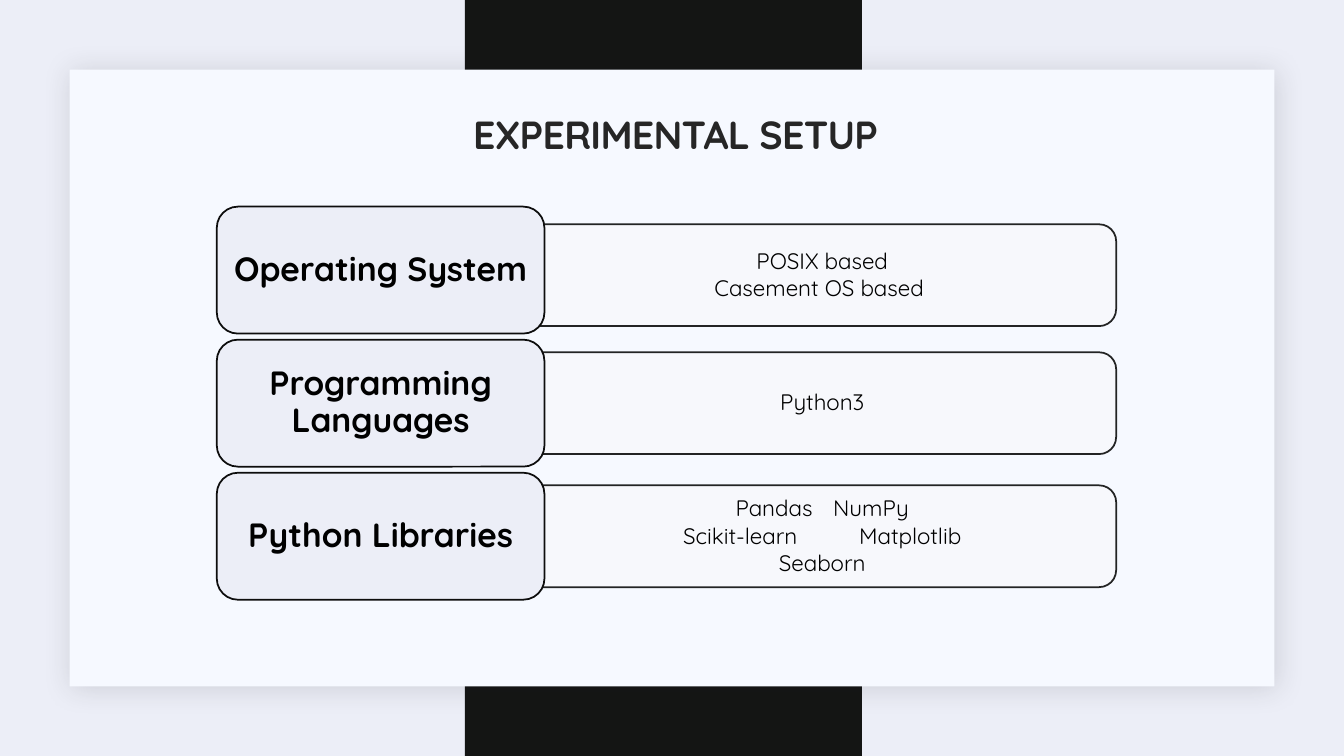
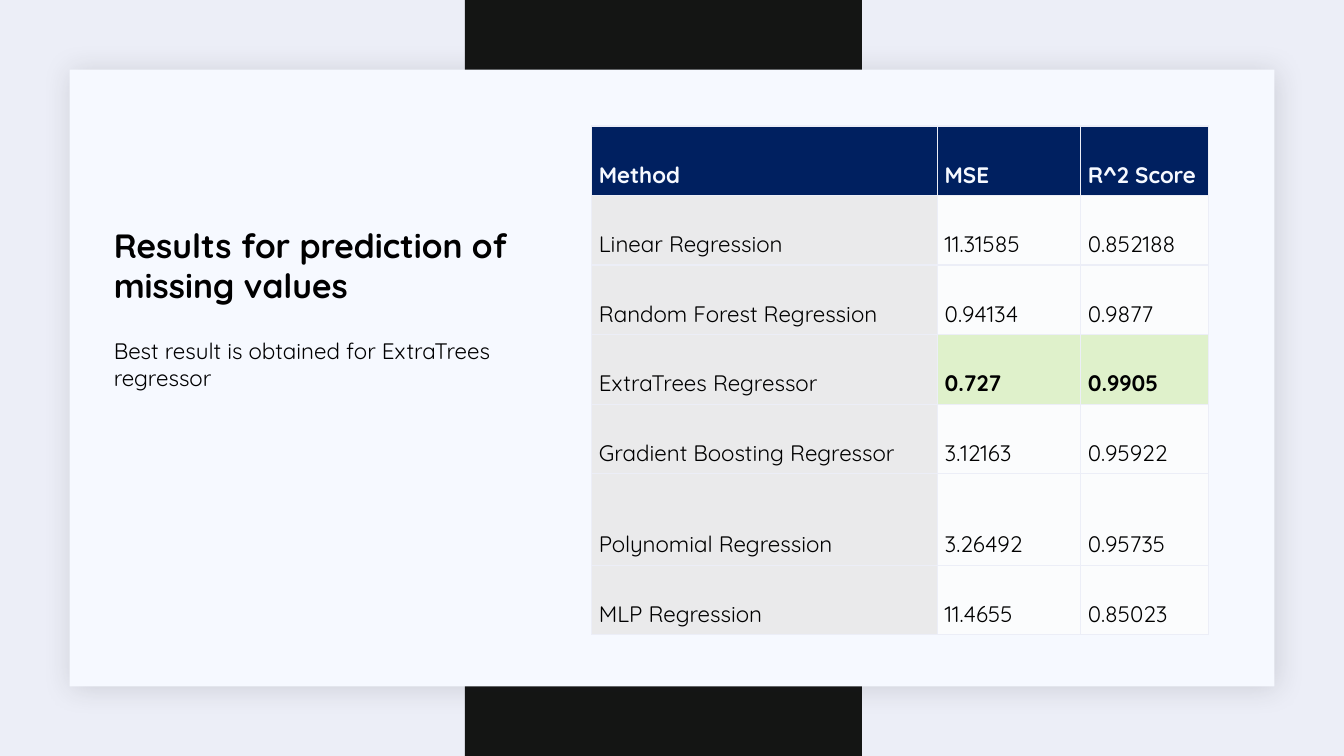
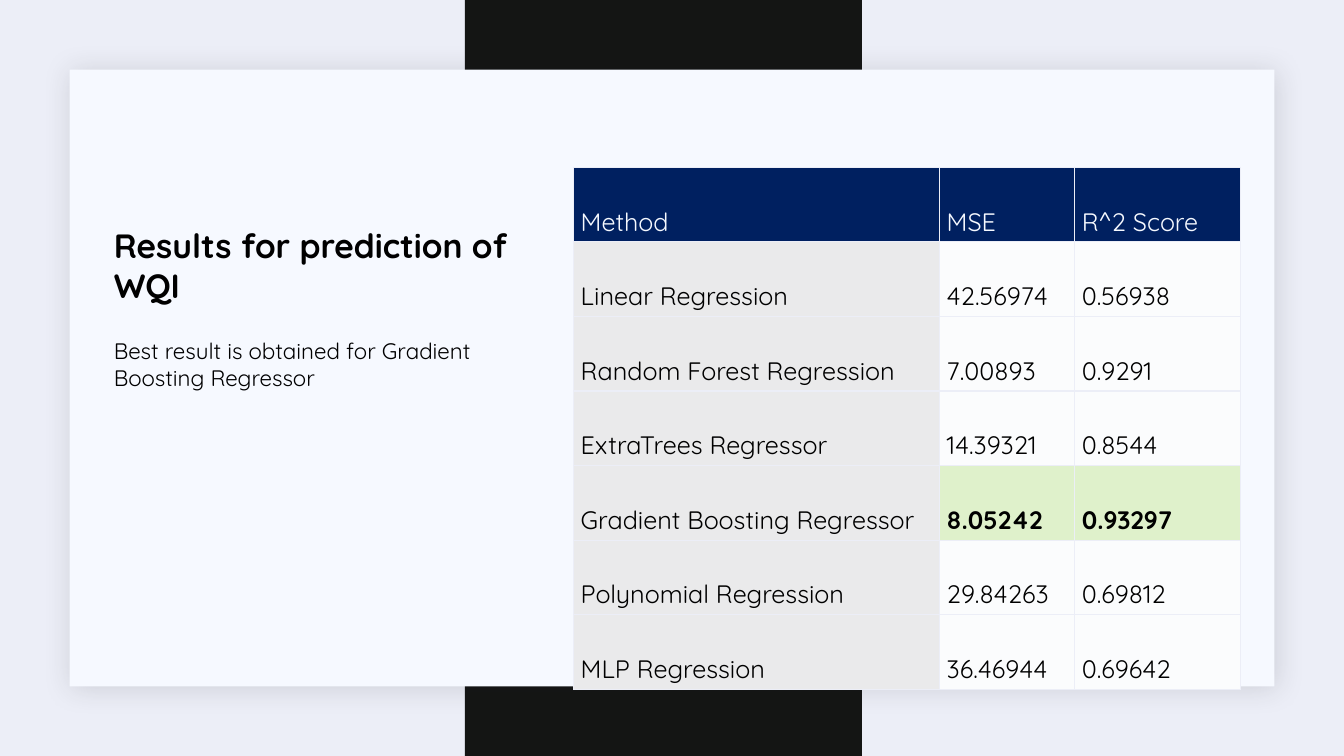
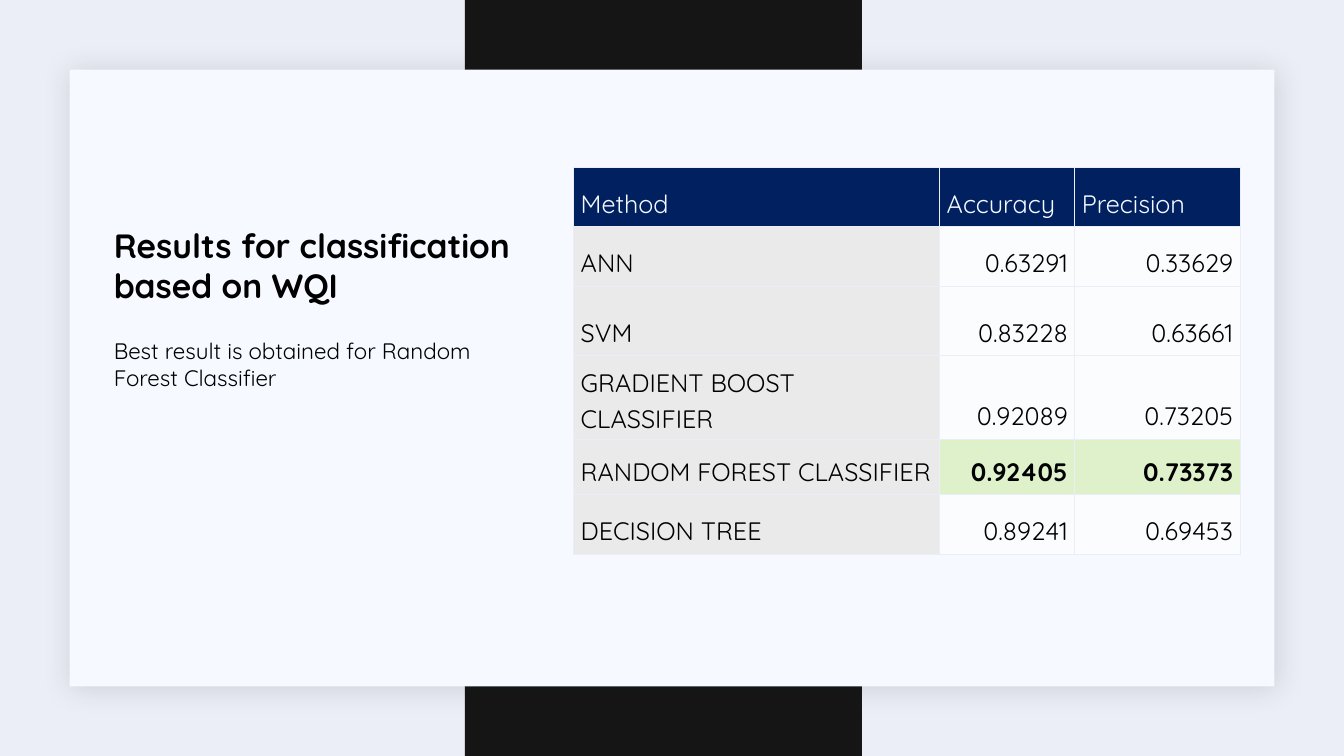
from dataclasses import dataclass

from lxml import etree
from pptx import Presentation
from pptx.dml.color import RGBColor
from pptx.enum.shapes import MSO_SHAPE
from pptx.enum.text import MSO_ANCHOR, PP_ALIGN
from pptx.oxml import parse_xml
from pptx.oxml.ns import nsdecls, qn
from pptx.util import Inches, Pt

RECTANGLE = MSO_SHAPE.RECTANGLE
ROUNDED = MSO_SHAPE.ROUNDED_RECTANGLE
ROUNDED_TOP = MSO_SHAPE.ROUND_2_SAME_RECTANGLE
LEFT, CENTER, RIGHT = PP_ALIGN.LEFT, PP_ALIGN.CENTER, PP_ALIGN.RIGHT
MIDDLE, BOTTOM = MSO_ANCHOR.MIDDLE, MSO_ANCHOR.BOTTOM


@dataclass(frozen=True)
class Theme:
    font: str = "Quicksand"
    background: str = "ECEEF7"
    band: str = "141514"
    card: str = "F6F9FF"
    shadow: str = "1F2125"
    title: str = "262626"
    text: str = "000000"
    outline: str = "0D0D0D"
    panel: str = "F8F8FC"
    header: str = "002060"
    method: str = "EAEAEB"
    value: str = "FBFCFD"
    best: str = "DFF1CB"
    title_size: int = 28
    heading_size: int = 24
    body_size: int = 16
    large_cell_size: int = 18


theme = Theme()
WIDTH, HEIGHT = 13.33, 7.5
MARGIN = 0.69


def add_box(slide, kind, left, top, width, height, fill, outline=None):
    shape = slide.shapes.add_shape(
        kind, Inches(left), Inches(top), Inches(width), Inches(height))
    shape.shadow.inherit = False
    shape.fill.solid()
    shape.fill.fore_color.rgb = RGBColor.from_string(fill)
    if outline:
        shape.line.color.rgb = RGBColor.from_string(outline)
        shape.line.width = Pt(1.25)
    else:
        shape.line.fill.background()
    return shape


def write(frame, lines, size, color=theme.text, bold=False, align=LEFT,
          spacing=1.0, after=0):
    frame.word_wrap = True
    for index, line in enumerate(lines):
        paragraph = frame.add_paragraph() if index else frame.paragraphs[0]
        paragraph.alignment = align
        paragraph.line_spacing = spacing
        paragraph.space_after = Pt(after)
        run = paragraph.add_run()
        run.text = line
        run.font.name = theme.font
        run.font.size = Pt(size)
        run.font.bold = bold
        run.font.color.rgb = RGBColor.from_string(color)


presentation = Presentation()
presentation.slide_width = Inches(WIDTH)
presentation.slide_height = Inches(HEIGHT)
blank = presentation.slide_layouts[6]
background = presentation.slide_master.background.fill
background.solid()
background.fore_color.rgb = RGBColor.from_string(theme.background)
for placeholder in list(blank.placeholders):
    placeholder.element.getparent().remove(placeholder.element)

slide = presentation.slides.add_slide(blank)
band = add_box(slide, RECTANGLE, 4.61, 0, 3.94, HEIGHT, theme.band)
card = add_box(slide, RECTANGLE, MARGIN, MARGIN,
               WIDTH - 2 * MARGIN, HEIGHT - 2 * MARGIN, theme.card)
effects = next(card.element.iter(qn("a:effectLst")))
effects.append(parse_xml(
    f'<a:outerShdw {nsdecls("a")} blurRad="{Pt(20)}" dist="{Pt(2)}" dir="2700000">'
    f'<a:srgbClr val="{theme.shadow}"><a:alpha val="15000"/></a:srgbClr></a:outerShdw>'))
for shape in (band, card):
    blank.shapes.element.append(shape.element)

title = slide.shapes.add_textbox(Inches(1.2), Inches(0.83), Inches(11), Inches(0.79))
title.text_frame.vertical_anchor = BOTTOM
write(title.text_frame, ["EXPERIMENTAL SETUP"], theme.title_size, theme.title,
      bold=True, align=CENTER, spacing=0.9)
for properties in title.element.iter(qn("a:rPr")):
    properties.set("spc", "-50")

LABEL_LEFT, LABEL_TOP, LABEL_WIDTH, LABEL_HEIGHT = 2.15, 2.05, 3.25, 1.26
ROW_STEP = 1.32
PANEL_LEFT, PANEL_WIDTH, PANEL_HEIGHT = 5.29, 5.78, 1.01
setup_rows = [
    ("Operating System", ["POSIX based", "Casement OS based "], 0.05),
    ("Programming Languages", ["Python3"], 0),
    ("Python Libraries",
     ["Pandas\tNumPy", "Scikit-learn\tMatplotlib", "Seaborn"], 0),
]
for row, (name, items, panel_shift) in enumerate(setup_rows):
    top = LABEL_TOP + row * ROW_STEP
    panel_middle = top + LABEL_HEIGHT / 2 + panel_shift
    panel = add_box(slide, ROUNDED_TOP,
                    PANEL_LEFT + (PANEL_WIDTH - PANEL_HEIGHT) / 2,
                    panel_middle - PANEL_WIDTH / 2,
                    PANEL_HEIGHT, PANEL_WIDTH, theme.panel, theme.outline)
    panel.rotation = 90
    for color in panel.element.iter(qn("a:srgbClr")):
        etree.SubElement(color, qn("a:alpha")).set("val", "90000")

    details = slide.shapes.add_textbox(
        Inches(PANEL_LEFT), Inches(panel_middle - 0.45), Inches(5.73), Inches(0.91))
    frame = details.text_frame
    frame.vertical_anchor = MIDDLE
    frame.margin_left = frame.margin_right = Inches(0.07)
    frame.margin_top = frame.margin_bottom = Inches(0.03)
    write(frame, items, theme.body_size, align=CENTER, spacing=0.9, after=2.4)
    for properties in details.element.iter(qn("a:pPr")):
        properties.set("lvl", "1")
        properties.set("marL", str(Inches(0.19)))
        properties.set("indent", str(Inches(-0.19)))
        properties.set("defTabSz", str(Pt(56)))

    label = add_box(slide, ROUNDED, LABEL_LEFT, top, LABEL_WIDTH, LABEL_HEIGHT,
                    theme.background, theme.outline)
    label.text_frame.vertical_anchor = MIDDLE
    label.text_frame.margin_left = label.text_frame.margin_right = Inches(0.08)
    write(label.text_frame, [name], theme.heading_size, bold=True,
          align=CENTER, spacing=0.9)

results = [
    dict(heading="Results for prediction of missing values",
         summary="Best result is obtained for ExtraTrees regressor",
         left=5.87, top=1.25, columns=[3.43, 1.42, 1.27],
         heights=[0.69, 0.69, 0.69, 0.69, 0.69, 0.91, 0.69],
         size=theme.body_size, header_bold=True, spacing=2.0, align=LEFT, best=3,
         cells=[("Method", "MSE", "R^2 Score"),
                ("Linear Regression", "11.31585", "0.852188"),
                ("Random Forest Regression", "0.94134", "0.9877"),
                ("ExtraTrees Regressor", "0.727", "0.9905"),
                ("Gradient Boosting Regressor", "3.12163", "0.95922"),
                ("Polynomial Regression", "3.26492", "0.95735"),
                ("MLP Regression", "11.4655", "0.85023")]),
    dict(heading="Results for prediction of WQI",
         summary="Best result is obtained for Gradient Boosting Regressor",
         left=5.69, top=1.66, columns=[3.63, 1.34, 1.64],
         heights=[0.74] * 7,
         size=theme.large_cell_size, header_bold=False, spacing=2.0, align=LEFT, best=4,
         cells=[("Method", "MSE", "R^2 Score"),
                ("Linear Regression", "42.56974", "0.56938"),
                ("Random Forest Regression", "7.00893", "0.9291"),
                ("ExtraTrees Regressor", "14.39321", "0.8544"),
                ("Gradient Boosting Regressor", "8.05242", "0.93297"),
                ("Polynomial Regression", "29.84263", "0.69812"),
                ("MLP Regression", "36.46944", "0.69642")]),
    dict(heading="Results for classification based on WQI",
         summary="Best result is obtained for Random Forest Classifier",
         left=5.69, top=1.66, columns=[3.63, 1.34, 1.64],
         heights=[0.59, 0.59, 0.69, 0.83, 0.55, 0.59],
         size=theme.large_cell_size, header_bold=False, spacing=1.15, align=RIGHT, best=4,
         cells=[("Method", "Accuracy", "Precision"),
                ("ANN", "0.63291", "0.33629"),
                ("SVM", "0.83228", "0.63661"),
                ("GRADIENT BOOST CLASSIFIER", "0.92089", "0.73205"),
                ("RANDOM FOREST CLASSIFIER", "0.92405", "0.73373"),
                ("DECISION TREE", "0.89241", "0.69453")]),
]
for result in results:
    slide = presentation.slides.add_slide(blank)
    heading = slide.shapes.add_textbox(
        Inches(1.03), Inches(2.18), Inches(4.42), Inches(0.91))
    write(heading.text_frame, [result["heading"]], theme.heading_size, bold=True)
    summary = slide.shapes.add_textbox(
        Inches(1.03), Inches(3.3), Inches(4.42), Inches(0.64))
    write(summary.text_frame, [result["summary"]], theme.body_size)

    columns, heights = result["columns"], result["heights"]
    table_frame = slide.shapes.add_table(
        len(heights), len(columns), Inches(result["left"]), Inches(result["top"]),
        Inches(sum(columns)), Inches(sum(heights)))
    table = table_frame.table
    table.first_row = table.horz_banding = False
    for column, width in zip(table.columns, columns):
        column.width = Inches(width)
    for row, height in zip(table.rows, heights):
        row.height = Inches(height)

    for row, values in enumerate(result["cells"]):
        for column, value in enumerate(values):
            is_header = row == 0
            is_number = row > 0 and column > 0
            is_best = is_number and row == result["best"]
            if is_header:
                fill = theme.header
            elif is_best:
                fill = theme.best
            else:
                fill = theme.value if is_number else theme.method
            cell = table.cell(row, column)
            cell.fill.solid()
            cell.fill.fore_color.rgb = RGBColor.from_string(fill)
            cell.vertical_anchor = BOTTOM
            cell.margin_left = cell.margin_right = Inches(0.07)
            cell.margin_top = cell.margin_bottom = Inches(0.07)
            write(cell.text_frame, [value], result["size"],
                  theme.card if is_header else theme.text,
                  bold=is_best or (is_header and result["header_bold"]),
                  align=result["align"] if is_number else LEFT,
                  spacing=result["spacing"])

    for properties in table_frame.element.iter(qn("a:tcPr")):
        for index, side in enumerate(("lnL", "lnR", "lnT", "lnB")):
            properties.insert(index, parse_xml(
                f'<a:{side} {nsdecls("a")} w="{Pt(1)}"><a:solidFill>'
                f'<a:srgbClr val="{theme.background}"/></a:solidFill></a:{side}>'))

presentation.save("out.pptx")
